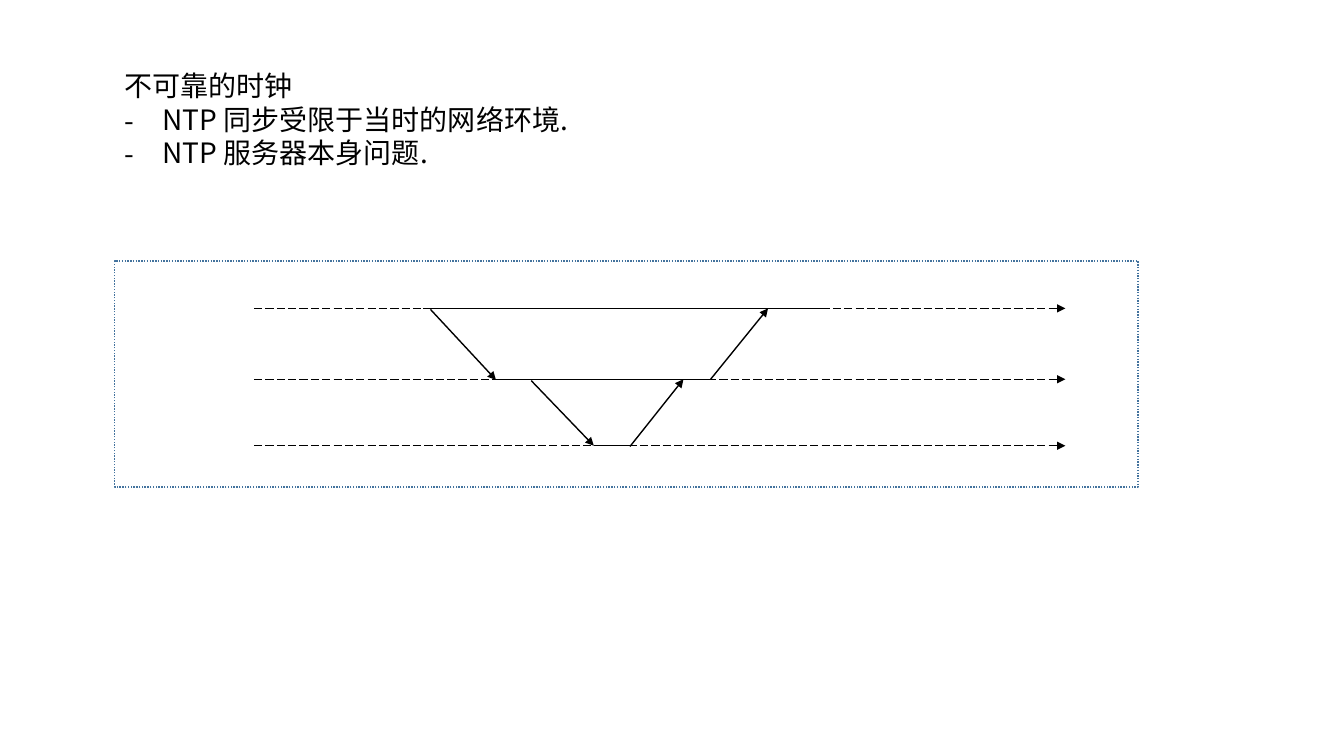
import pptx
import pptx.dml.color
import pptx.enum.dml
import pptx.enum.shapes
import pptx.enum.text
import pptx.oxml.ns
import pptx.util
import lxml.etree

Pt = pptx.util.Pt
Dash = pptx.enum.dml.MSO_LINE


class ClockSlide:
    """Draws text, frames and timeline strokes on one slide, in points."""

    colors = {"ink": "000000", "frame": "43739E"}
    font_name = "Noto Sans CJK SC"
    font_size = 20
    bullet_indent = 27

    def __init__(self, slide):
        self.slide = slide

    def add_element(self, parent, tag, **attributes):
        return lxml.etree.SubElement(parent, pptx.oxml.ns.qn(tag), attributes)

    def style_line(self, line, color, width, dash):
        line.color.rgb = pptx.dml.color.RGBColor.from_string(self.colors[color])
        line.width = Pt(width)
        if dash is not None:
            line.dash_style = dash

    def frame(self, left, top, width, height):
        shape = self.slide.shapes.add_shape(
            pptx.enum.shapes.MSO_SHAPE.RECTANGLE,
            Pt(left), Pt(top), Pt(width), Pt(height))
        shape.shadow.inherit = False
        shape.fill.background()
        self.style_line(shape.line, "frame", 1, Dash.ROUND_DOT)

    def stroke(self, start, end, width=1, dash=None, arrow=False):
        connector = self.slide.shapes.add_connector(
            pptx.enum.shapes.MSO_CONNECTOR.STRAIGHT,
            Pt(start[0]), Pt(start[1]), Pt(end[0]), Pt(end[1]))
        self.style_line(connector.line, "ink", width, dash)
        properties = connector._element.spPr
        if arrow:
            outline = properties.find(pptx.oxml.ns.qn("a:ln"))
            self.add_element(outline, "a:tailEnd", type="triangle")
        self.add_element(properties, "a:effectLst")

    def text(self, left, top, width, height, heading, bullets):
        box = self.slide.shapes.add_textbox(Pt(left), Pt(top), Pt(width), Pt(height))
        frame = box.text_frame
        frame.word_wrap = True
        frame.auto_size = pptx.enum.text.MSO_AUTO_SIZE.SHAPE_TO_FIT_TEXT
        self.add_words(frame.paragraphs[0], heading)
        for bullet in bullets:
            paragraph = frame.add_paragraph()
            self.add_words(paragraph, bullet)
            properties = paragraph._p.get_or_add_pPr()
            properties.set("marL", str(Pt(self.bullet_indent)))
            properties.set("indent", str(-Pt(self.bullet_indent)))
            self.add_element(properties, "a:buFont", typeface=self.font_name)
            self.add_element(properties, "a:buChar", char="-")

    def add_words(self, paragraph, words):
        run = paragraph.add_run()
        run.text = words
        run.font.size = Pt(self.font_size)
        run.font.color.rgb = pptx.dml.color.RGBColor.from_string(self.colors["ink"])
        run.font.name = self.font_name
        self.add_element(run._r.get_or_add_rPr(), "a:ea", typeface=self.font_name)


def main():
    presentation = pptx.Presentation()
    presentation.slide_width = Pt(960)
    presentation.slide_height = Pt(540)
    slide = presentation.slides.add_slide(presentation.slide_layouts[6])
    clock = ClockSlide(slide)

    left, width = 82, 731
    client, server, backend = 220.3, 270.9, 318.4
    clock.frame(left, 186.5, width, 161.3)
    for level in (client, server, backend):
        clock.stroke((181.5, level), (761, level), 0.75, Dash.LONG_DASH, arrow=True)

    busy_spans = [(302.5, 587.5, client), (354.3, 507.6, server), (424.2, 450, backend)]
    for start, end, level in busy_spans:
        clock.stroke((start, level), (end, level))

    messages = [
        ((307.5, client + 0.7), (354.3, server + 0.5)),
        ((507.6, server), (548.6, client)),
        ((379.5, server + 1), (424.2, backend)),
        ((450, backend + 0.5), (488.2, server)),
    ]
    for start, end in messages:
        clock.stroke(start, end, arrow=True)

    clock.text(left, 45.4, width, 80, "不可靠的时钟",
               ["NTP 同步受限于当时的网络环境.", "NTP 服务器本身问题."])
    presentation.save("out.pptx")


if __name__ == "__main__":
    main()
